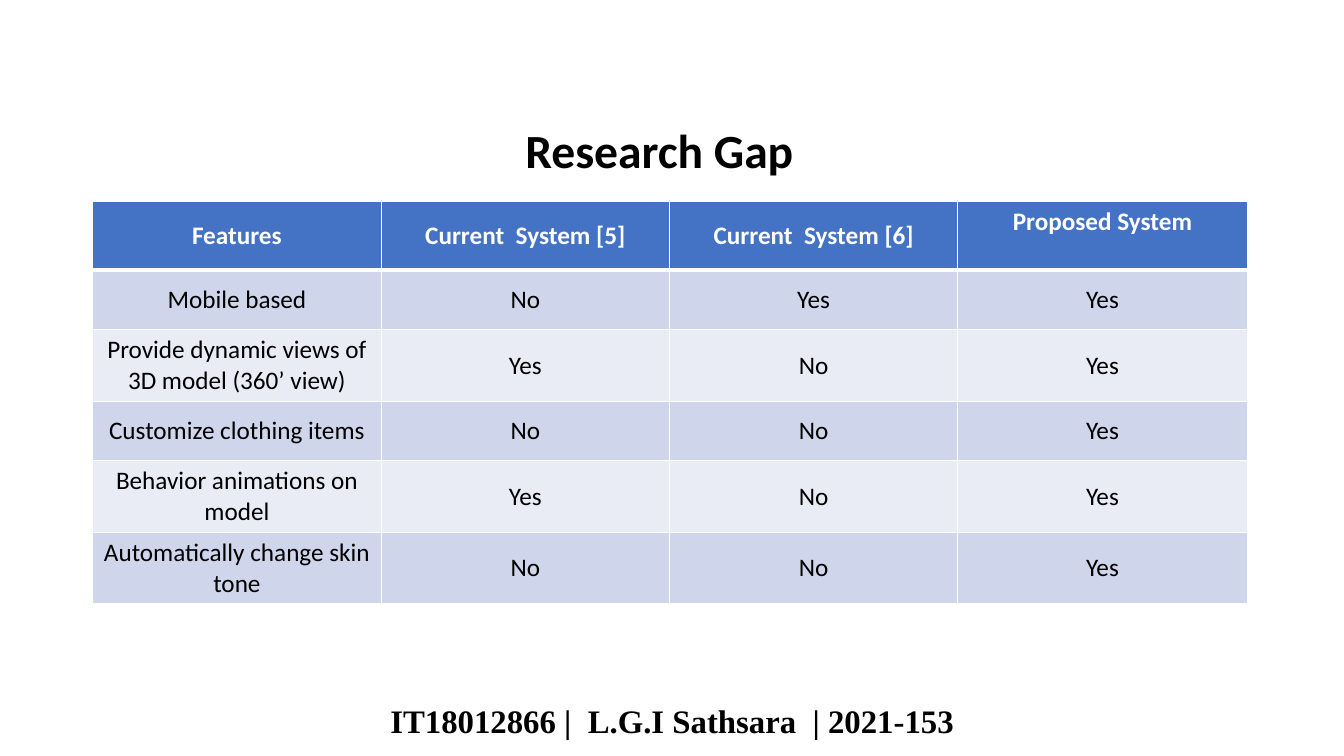
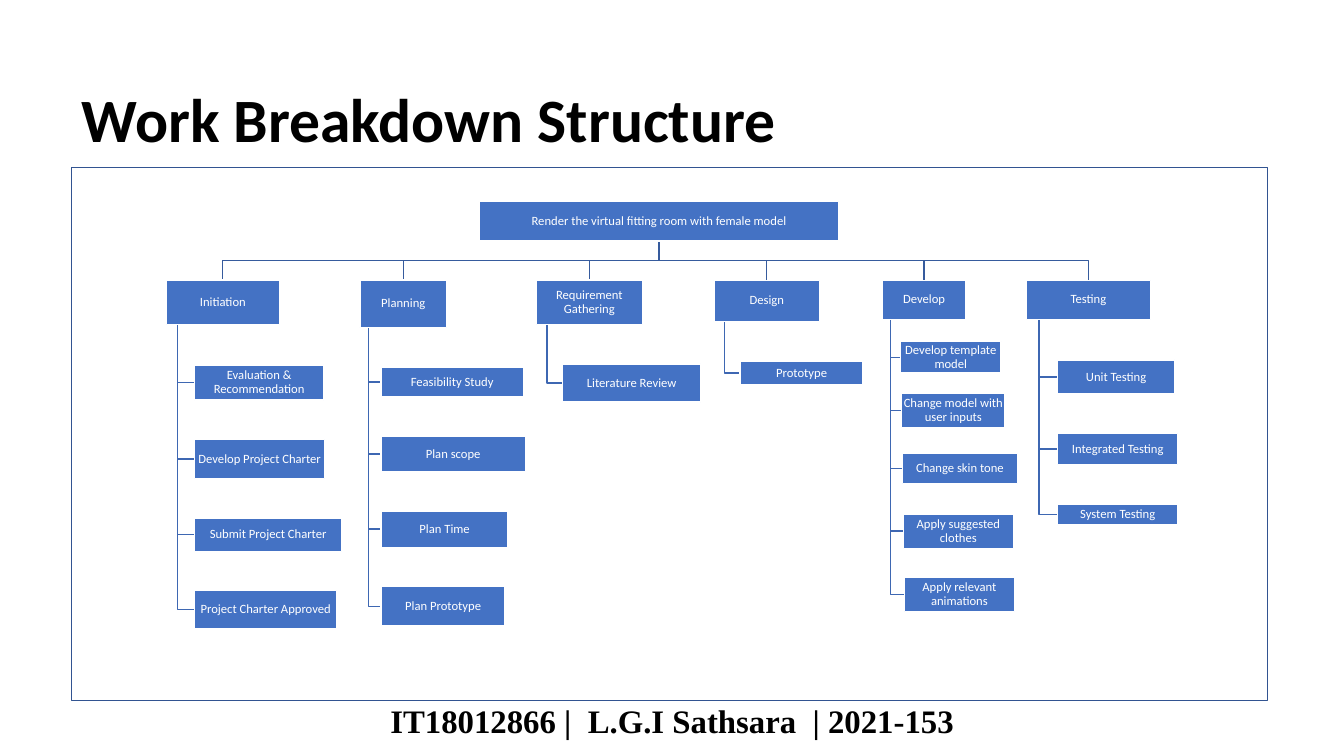
from lxml.etree import SubElement as Sub
from pptx import Presentation
from pptx.dml.color import RGBColor as Rgb
from pptx.enum.shapes import MSO_SHAPE as Kind
from pptx.enum.text import MSO_ANCHOR as Anchor, MSO_AUTO_SIZE as Auto, PP_ALIGN as Align
from pptx.oxml.ns import qn
from pptx.util import Inches, Pt

COLORS = {
    "ink": "000000", "paper": "FFFFFF", "blue": "4472C4",
    "band": "CFD5EA", "pale": "E9EBF5",
    "frame": "325491", "trunk": "365B9D", "twig": "3E67B2",
}

# Each look: font values, paragraph values, colour
LOOKS = {
    "gap": ({"name": "Calibri", "size": Pt(34), "bold": True},
            {"alignment": Align.LEFT, "line_spacing": 0.8}, "ink"),
    "title": ({"name": "Calibri", "size": Pt(44), "bold": True},
              {"alignment": Align.LEFT, "line_spacing": 0.9}, "ink"),
    "foot": ({"name": "Times New Roman", "size": Pt(23.4), "bold": True},
             {"alignment": Align.CENTER, "line_spacing": 0.9}, "ink"),
    "head": ({"name": "Calibri", "size": Pt(18), "bold": True},
             {"alignment": Align.CENTER}, "paper"),
    "cell": ({"name": "Calibri", "size": Pt(18), "bold": False},
             {"alignment": Align.CENTER}, "ink"),
    "node": ({"name": "Calibri", "size": Pt(9), "bold": False},
             {"alignment": Align.CENTER, "line_spacing": 0.9}, "paper"),
}
PLAIN = {"word_wrap": True, "auto_size": Auto.NONE, "vertical_anchor": Anchor.TOP}
TIGHT = {"word_wrap": True, "vertical_anchor": Anchor.MIDDLE}
TIGHT.update({f"margin_{side}": Inches(0.01) for side in ("left", "top", "right", "bottom")})

FOOTER = "IT18012866 |  L.G.I Sathsara  | 2021-153"


def tone(name):
    return Rgb.from_string(COLORS[name])


def dress(item, values):
    for key, value in values.items():
        setattr(item, key, value)


class Deck:
    """Holds the style and the current slide."""

    def __init__(self):
        self.file = Presentation()
        self.file.slide_width, self.file.slide_height = Inches(13.33), Inches(7.5)
        self.slide = None

    def label(self, frame, text, look):
        font, para, color = LOOKS[look]
        line = frame.paragraphs[0]
        dress(line, para)
        run = line.add_run()
        run.text = text
        dress(run.font, font)
        run.font.color.rgb = tone(color)

    def start(self, title, area, look):
        """Opens a slide with its title and footer."""
        self.slide = self.file.slides.add_slide(self.file.slide_layouts[5])
        head = self.slide.shapes.title
        sides = ("left", "top", "width", "height")
        dress(head, dict(zip(sides, map(Inches, area))))
        dress(head.text_frame, PLAIN)
        self.label(head.text_frame, title, look)
        self.foot()

    def foot(self):
        area = map(Inches, (0, 6.95, 13.33, 0.45))
        frame = self.slide.shapes.add_textbox(*area).text_frame
        dress(frame, PLAIN)
        self.label(frame, FOOTER, "foot")

    def box(self, area, fill, line, text=None):
        shape = self.slide.shapes.add_shape(Kind.RECTANGLE, *map(Inches, area))
        shape.shadow.inherit = False
        shape.fill.solid()
        shape.fill.fore_color.rgb = tone(fill)
        shape.line.color.rgb = tone(line)
        shape.line.width = Pt(1)
        if text:
            dress(shape.text_frame, TIGHT)
            self.label(shape.text_frame, text, "node")

    def link(self, points, color):
        first, *rest = [(Inches(x), Inches(y)) for x, y in points]
        pen = self.slide.shapes.build_freeform(*first)
        pen.add_line_segments(rest, close=False)
        shape = pen.convert_to_shape()
        shape.shadow.inherit = False
        shape.fill.background()
        shape.line.color.rgb = tone(color)
        shape.line.width = Pt(1)

    def edge(self, cell, base):
        """Draws white borders; base is the width of the lower one."""
        props = cell._tc.get_or_add_tcPr()
        for side, width in (("L", 1), ("R", 1), ("T", 1), ("B", base)):
            line = Sub(props, qn(f"a:ln{side}"), w=str(Pt(width)))
            fill = Sub(line, qn("a:solidFill"))
            Sub(fill, qn("a:srgbClr"), val=COLORS["paper"])

    def table(self, area, rows, widths, heights):
        size = len(rows), len(widths)
        grid = self.slide.shapes.add_table(*size, *map(Inches, area)).table
        for col, width in zip(grid.columns, widths):
            col.width = Inches(width)
        for r, (texts, height) in enumerate(zip(rows, heights)):
            grid.rows[r].height = Inches(height)
            fill = "blue" if r == 0 else ("pale", "band")[r % 2]
            for c, text in enumerate(texts):
                cell = grid.cell(r, c)
                self.edge(cell, 3 if r == 0 else 1)
                cell.fill.solid()
                cell.fill.fore_color.rgb = tone(fill)
                cell.vertical_anchor = Anchor.MIDDLE
                self.label(cell.text_frame, text, "cell" if r else "head")
        return grid

    def tree(self, root, title, level, limbs):
        """Draws a root, a row of heads at one level and their children."""
        left, top, width, height = root
        stem, base = left + width / 2, top + height
        fork = (base + level) / 2
        for name, x, wide, tall, indent, step, kids in limbs:
            mid, spine, low = x + wide / 2, x + wide / 10, level + tall
            self.link([(stem, base), (stem, fork), (mid, fork), (mid, level)], "trunk")
            for i, (text, y, w, h) in enumerate(kids):
                start, half = indent + step * i, y + h / 2
                self.link([(spine, low), (spine, half), (start, half)], "twig")
                self.box((start, y, w, h), "blue", "paper", text)
            self.box((x, level, wide, tall), "blue", "paper", name)
        self.box(root, "blue", "paper", title)


# Table content
GAPS = [
    ("Features", "Current  System [5]", "Current  System [6]", "Proposed System"),
    ("Mobile based", "No", "Yes", "Yes"),
    ("Provide dynamic views of 3D model (360’ view)", "Yes", "No", "Yes"),
    ("Customize clothing items", "No", "No", "Yes"),
    ("Behavior animations on model", "Yes", "No", "Yes"),
    ("Automatically change skin tone", "No", "No", "Yes"),
]

# Head: name, left, width, height, left of children, step, children
# Child: name, top, width, height
LIMBS = [
    ("Initiation", 1.65, 1.12, 0.44, 1.93, 0, [
        ("Evaluation & Recommendation", 3.62, 1.28, 0.35),
        ("Develop Project Charter", 4.36, 1.29, 0.39),
        ("Submit Project Charter", 5.14, 1.46, 0.33),
        ("Project Charter Approved", 5.86, 1.41, 0.38)]),
    ("Planning", 3.57, 0.86, 0.47, 3.78, 0, [
        ("Feasibility Study", 3.64, 1.41, 0.3),
        ("Plan scope", 4.33, 1.43, 0.35),
        ("Plan Time", 5.07, 1.26, 0.36),
        ("Plan Prototype", 5.82, 1.23, 0.39)]),
    ("Requirement Gathering", 5.32, 1.05, 0.44, 5.58, 0, [
        ("Literature Review", 3.61, 1.37, 0.38)]),
    ("Design", 7.08, 1.05, 0.41, 7.34, 0, [
        ("Prototype", 3.58, 1.22, 0.24)]),
    ("Develop", 8.75, 0.83, 0.39, 8.93, 0.01, [
        ("Develop template model", 3.39, 1, 0.31),
        ("Change model with user inputs", 3.9, 1.03, 0.34),
        ("Change skin tone", 4.5, 1.14, 0.3),
        ("Apply suggested clothes", 5.1, 1.09, 0.34),
        ("Apply relevant animations", 5.73, 1.09, 0.34)]),
    ("Testing", 10.18, 1.23, 0.39, 10.49, 0, [
        ("Unit Testing", 3.57, 1.16, 0.34),
        ("Integrated Testing", 4.3, 1.19, 0.31),
        ("System Testing", 5, 1.19, 0.21)]),
]


def main():
    deck = Deck()

    # Research gap
    deck.start("Research Gap", (5.11, 1.26, 2.89, 0.7), "gap")
    grid = deck.table((0.92, 2, 11.45, 3.9), GAPS, (2.86, 2.86, 2.86, 2.87),
                      (0.68, 0.59, 0.68, 0.59, 0.68, 0.68))
    grid.cell(0, 3).vertical_anchor = Anchor.TOP

    # Work breakdown
    deck.start("Work Breakdown Structure", (0.71, 0.84, 11.5, 1.45), "title")
    deck.box((0.71, 1.66, 11.86, 5.29), "paper", "frame")
    deck.tree((4.75, 2, 3.57, 0.39),
              "Render the virtual fitting room with female model", 2.78, LIMBS)

    deck.file.save("out.pptx")


if __name__ == "__main__":
    main()
